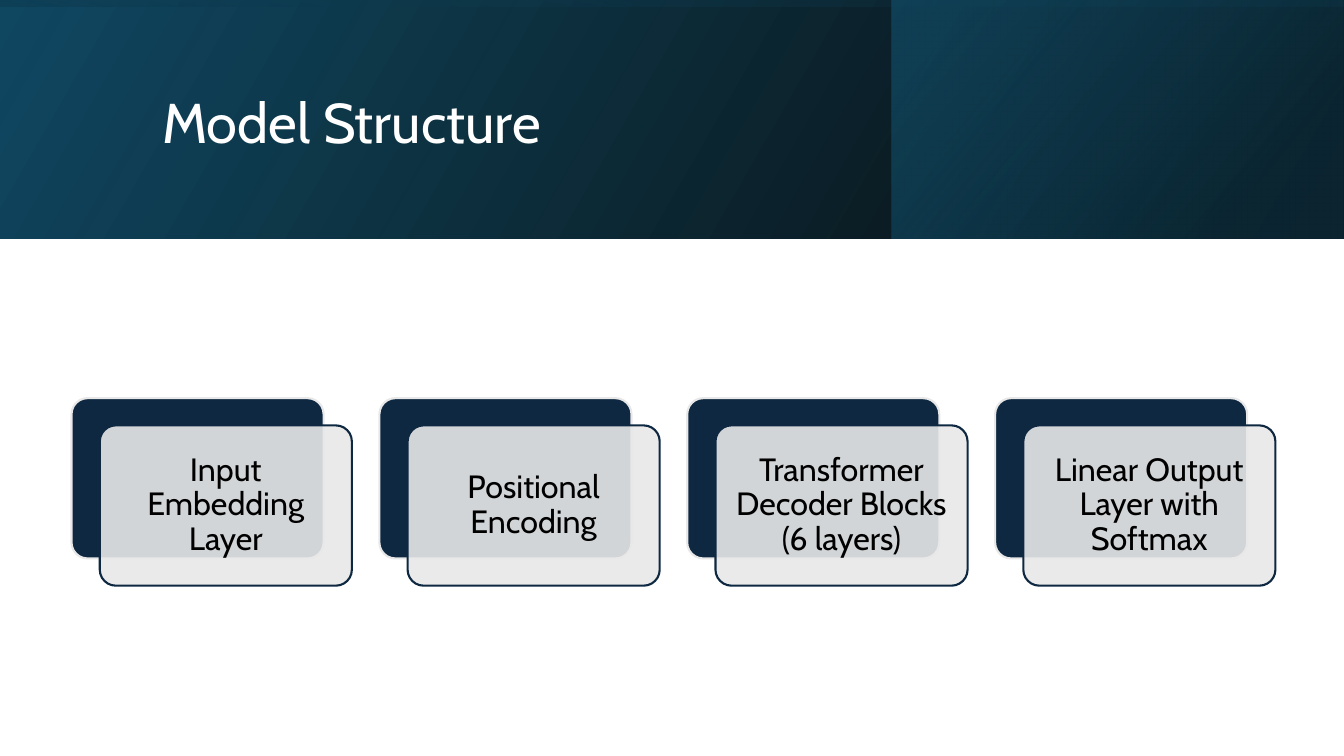
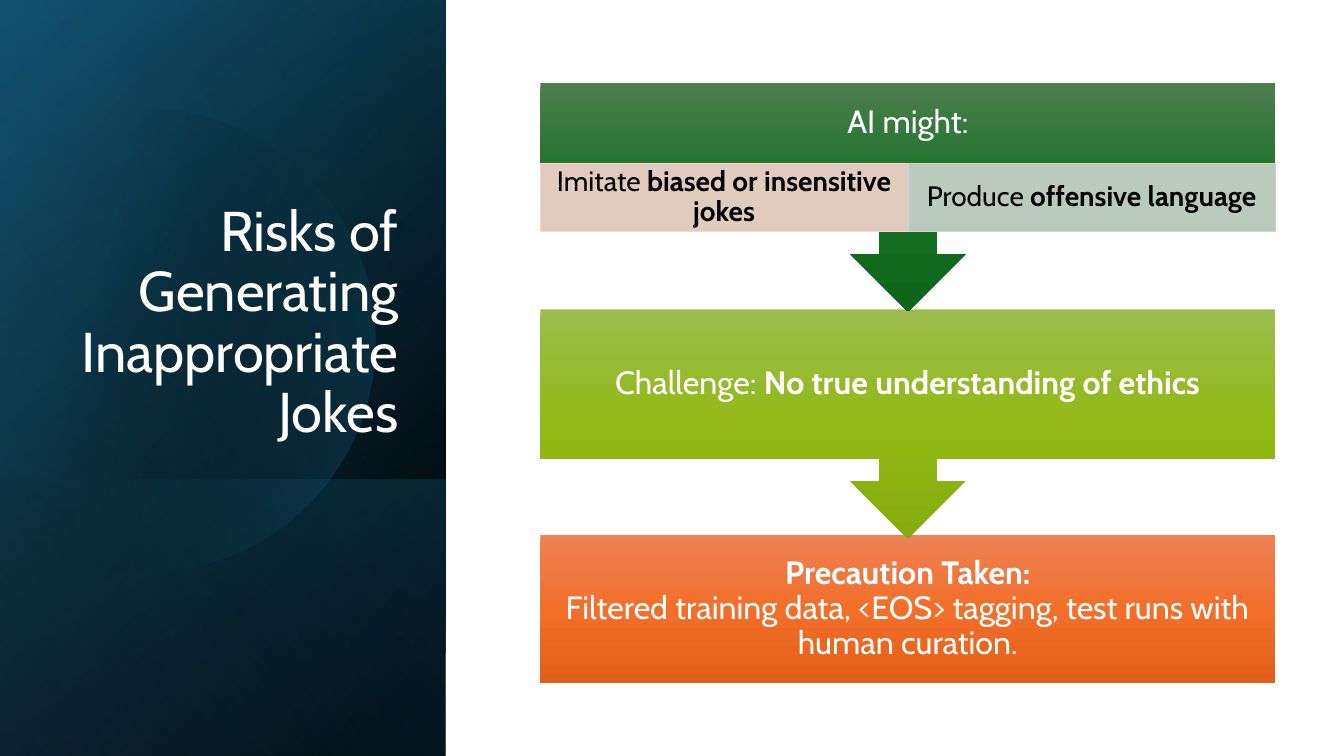
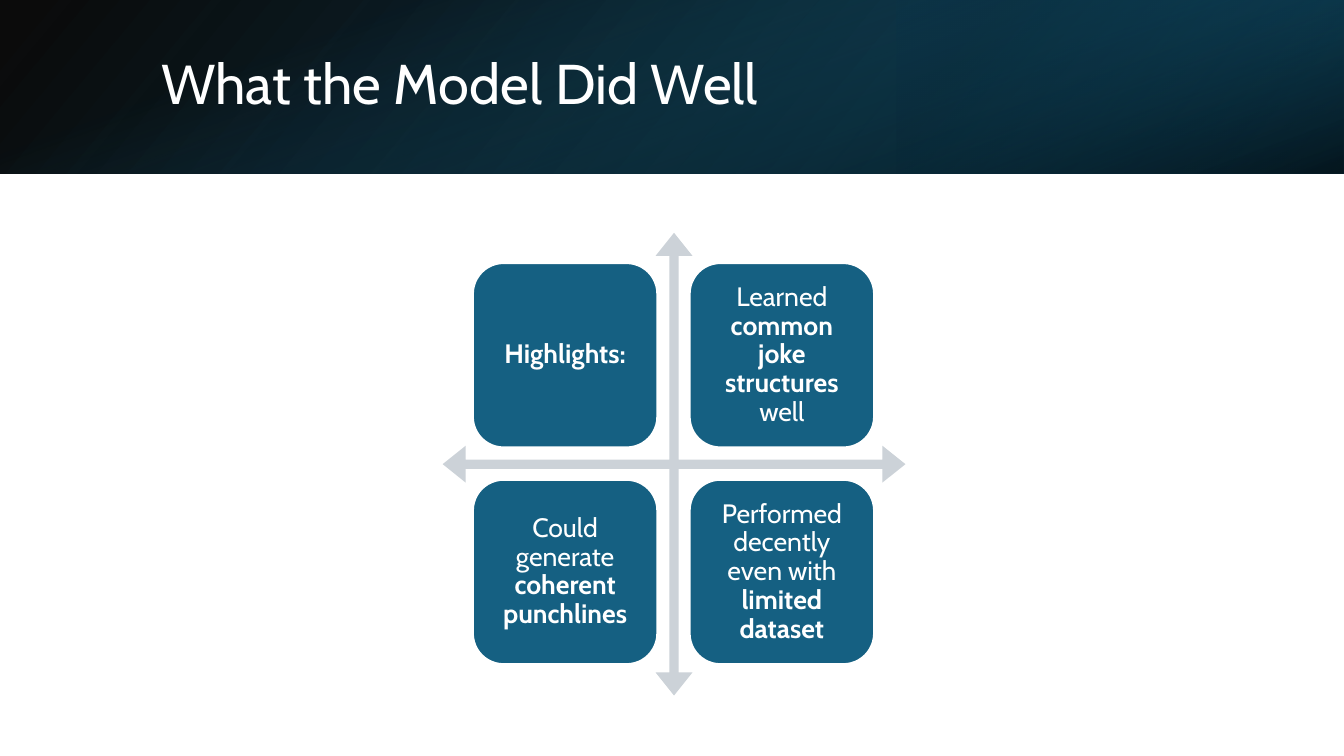
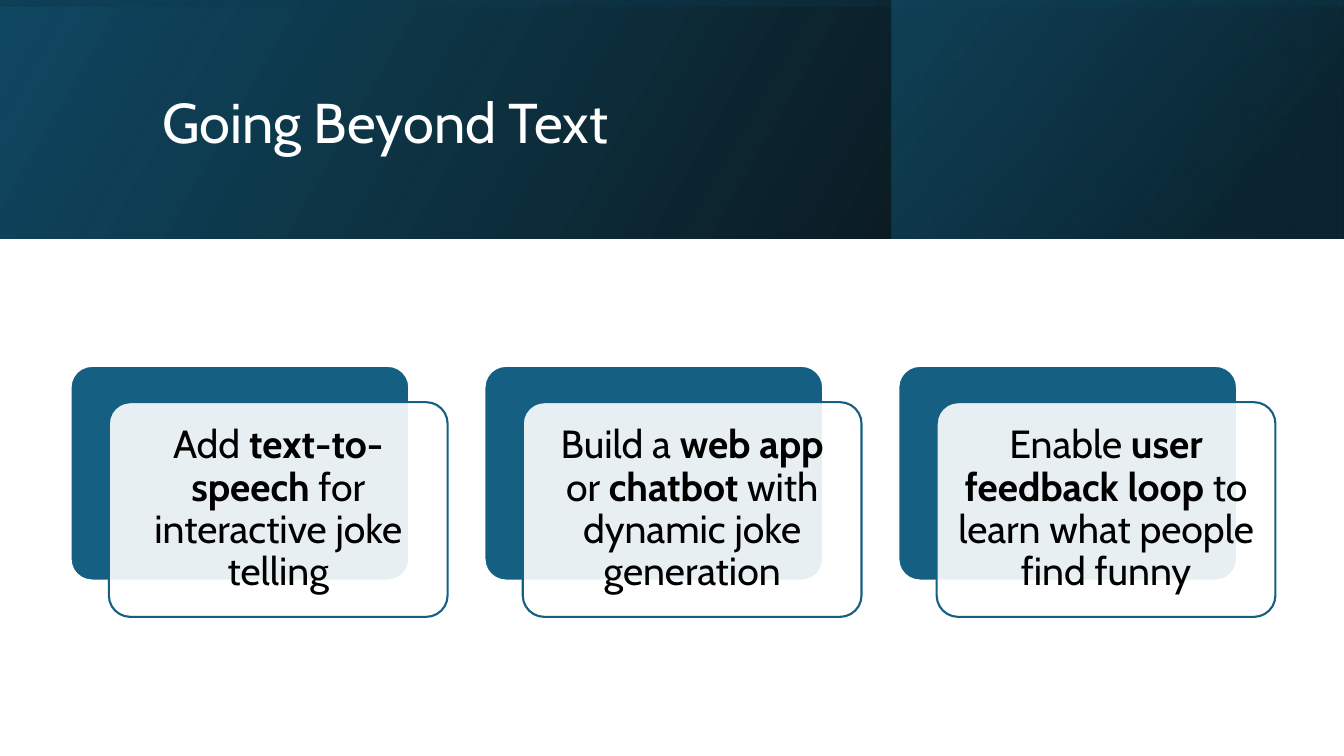
from dataclasses import dataclass
from math import acos, cos, sin
from typing import NamedTuple

from lxml import etree
from pptx import Presentation
from pptx.dml.color import RGBColor
from pptx.enum.shapes import MSO_SHAPE as Shape
from pptx.enum.text import MSO_ANCHOR as Anchor, PP_ALIGN as Align
from pptx.oxml.ns import qn
from pptx.util import Inches, Pt

FONT = "Cabin"
COLORS = {
    "white": "FFFFFF",
    "black": "000000",
    "navy": "0E2841",
    "blue": "156082",
    "deep_blue": "104862",
    "dark_blue": "0B3041",
    "sky": "46B1E1",
    "light_gray": "E8E8E8",
    "arrow_gray": "CCD2D8",
    "pink": "F7D5CE",
    "sage": "CCD4CD",
    "green_light": "4D7E50", "green": "156F21", "green_dark": "0F661B",
    "lime_light": "9CBD4E", "lime": "92B916", "lime_dark": "85AB0D",
    "orange_light": "ED8257", "orange": "F26E29", "orange_dark": "E25F1A",
}


class Box(NamedTuple):
    left: float
    top: float
    width: float
    height: float


class Run(NamedTuple):
    text: str
    bold: bool = False


class Stop(NamedTuple):
    position: int
    color: str
    opacity: int = 100


@dataclass
class Band:
    box: Box
    angle: int
    stops: list[Stop]


@dataclass
class TextStyle:
    size: int
    color: str = "white"
    align: Align = Align.CENTER
    anchor: Anchor = Anchor.MIDDLE
    margins: tuple[float, float, float, float] = (0.1, 0.05, 0.1, 0.05)


@dataclass
class CardRow:
    left: float
    top: float
    width: float
    height: float
    shift: tuple[float, float]
    back: str
    back_line: str
    front: str
    style: TextStyle


@dataclass
class Step:
    kind: Shape
    box: Box
    color: str
    runs: list[Run]
    bottom_margin: float = 0.18


SLIDE = Box(0, 0, 13.33, 7.5)
CONTENT_RIGHT = 12.65
SIDE = Box(0, 0, 4.42, 7.5)

# Gradient bands behind the titles
TALL = Box(0, 0, 13.33, 2.37)
TOP_BANDS = [
    Band(TALL, 210, [Stop(0, "black", 96), Stop(100, "deep_blue")]),
    Band(Box(8.84, 0, 4.48, 2.37), 220, [Stop(19, "dark_blue", 68), Stop(100, "blue", 48)]),
    Band(TALL, 100, [Stop(23, "deep_blue", 16), Stop(99, "black", 45)]),
]
SLIM = Box(0, 0, 13.33, 1.72)
SLIM_BANDS = [
    Band(SLIM, 40, [Stop(0, "black", 96), Stop(100, "deep_blue")]),
    Band(Box(8.89, 0, 4.44, 1.72), 40, [Stop(19, "dark_blue", 68), Stop(100, "blue", 79)]),
    Band(SLIM, 70, [Stop(23, "blue", 0), Stop(99, "black", 74)]),
]
SIDE_BANDS = [
    Band(SIDE, 220, [Stop(0, "black"), Stop(8, "black"), Stop(100, "deep_blue")]),
    Band(SIDE, 240, [Stop(0, "black", 0), Stop(99, "blue", 46)]),
    Band(Box(0, 4.76, 4.42, 2.74), 140, [Stop(2, "blue", 29), Stop(100, "black", 30)]),
]
SIDE_GLOW = Band(SIDE, 150, [Stop(0, "black", 0), Stop(99, "sky", 11)])
TITLE_BOX = Box(1.51, 0.38, 10.63, 1.72)


def rgb(name: str) -> RGBColor:
    return RGBColor.from_string(COLORS[name])


def add_opacity(color_element, opacity: int) -> None:
    etree.SubElement(color_element, qn("a:alpha"), val=str(opacity * 1000))


def fill_solid(shape, color: str, opacity: int = 100) -> None:
    shape.fill.solid()
    shape.fill.fore_color.rgb = rgb(color)
    if opacity < 100:
        solid = shape._element.spPr.find(qn("a:solidFill"))
        add_opacity(solid.find(qn("a:srgbClr")), opacity)


def fill_gradient(shape, stops: list[Stop], angle: int) -> None:
    """Angle runs clockwise from left-to-right."""
    shape.fill.gradient()
    shape.fill.gradient_angle = 360 - angle
    stop_list = next(shape._element.spPr.iter(qn("a:gsLst")))
    for old_stop in list(stop_list):
        stop_list.remove(old_stop)
    for stop in stops:
        element = etree.SubElement(stop_list, qn("a:gs"), pos=str(stop.position * 1000))
        color = etree.SubElement(element, qn("a:srgbClr"), val=COLORS[stop.color])
        if stop.opacity < 100:
            add_opacity(color, stop.opacity)


def add_plain_shape(slide, kind: Shape, box: Box, line: str | None = None, line_width: float = 1.5):
    shape = slide.shapes.add_shape(kind, *(Inches(value) for value in box))
    shape.shadow.inherit = False
    if line:
        shape.line.color.rgb = rgb(line)
        shape.line.width = Pt(line_width)
    else:
        shape.line.fill.background()
    return shape


def write(shape, runs: list[Run], style: TextStyle) -> None:
    frame = shape.text_frame
    frame.word_wrap = True
    frame.vertical_anchor = style.anchor
    (frame.margin_left, frame.margin_top,
     frame.margin_right, frame.margin_bottom) = (Inches(value) for value in style.margins)
    paragraph = frame.paragraphs[0]
    paragraph.alignment = style.align
    paragraph.line_spacing = 0.9
    for item in runs:
        if item.text == "\n":
            paragraph.add_line_break()
            continue
        run = paragraph.add_run()
        run.text = item.text
        run.font.name = FONT
        run.font.size = Pt(style.size)
        run.font.bold = item.bold
        run.font.color.rgb = rgb(style.color)


def add_band(slide, band: Band) -> None:
    fill_gradient(add_plain_shape(slide, Shape.RECTANGLE, band.box), band.stops, band.angle)


def add_title(slide, text: str, box: Box = TITLE_BOX, align: Align = Align.LEFT,
              anchor: Anchor = Anchor.MIDDLE) -> None:
    title = slide.shapes.add_textbox(*(Inches(value) for value in box))
    write(title, [Run(text)], TextStyle(40, align=align, anchor=anchor))


def add_slide(presentation, bands: list[Band]):
    slide = presentation.slides.add_slide(presentation.slide_layouts[6])
    for band in bands:
        add_band(slide, band)
    return slide


def add_cards(slide, row: CardRow, texts: list[list[Run]]) -> None:
    """Pairs of offset cards, spread evenly up to the right content edge."""
    shift_x, shift_y = row.shift
    last_left = CONTENT_RIGHT - row.width - shift_x
    pitch = (last_left - row.left) / (len(texts) - 1)
    for index, runs in enumerate(texts):
        box = Box(row.left + index * pitch, row.top, row.width, row.height)
        back = add_plain_shape(slide, Shape.ROUNDED_RECTANGLE, box, row.back_line)
        fill_solid(back, row.back)
        front_box = box._replace(left=box.left + shift_x, top=box.top + shift_y)
        front = add_plain_shape(slide, Shape.ROUNDED_RECTANGLE, front_box, row.back)
        fill_solid(front, row.front, 90)
        for card in (back, front):
            card.adjustments[0] = 0.1
        write(front, runs, row.style)


def add_clipped_circle(slide, center_x: float, center_y: float, radius: float) -> None:
    """A circle cut off at the left edge of the slide."""
    limit = acos(-center_x / radius)
    steps = 120
    angles = [limit * (2 * index / steps - 1) for index in range(steps + 1)]
    points = [(Inches(center_x + radius * cos(angle)), Inches(center_y + radius * sin(angle)))
              for angle in angles]
    builder = slide.shapes.build_freeform(*points[0])
    builder.add_line_segments(points[1:], close=True)
    circle = builder.convert_to_shape()
    circle.shadow.inherit = False
    circle.line.fill.background()
    fill_gradient(circle, [Stop(29, "black", 0), Stop(100, "blue", 43)], 14)


def build_structure(presentation) -> None:
    slide = add_slide(presentation, TOP_BANDS)
    add_title(slide, "Model Structure")
    row = CardRow(0.71, 3.95, 2.5, 1.59, (0.28, 0.27), "navy", "light_gray", "light_gray",
                  TextStyle(23, "black", margins=(0.1,) * 4))
    labels = ["Input Embedding Layer", "Positional Encoding",
              "Transformer Decoder Blocks (6 layers)", "Linear Output Layer with Softmax"]
    add_cards(slide, row, [[Run(label)] for label in labels])


def build_risks(presentation) -> None:
    slide = add_slide(presentation, SIDE_BANDS)
    add_clipped_circle(slide, 1.42, 3.38, 2.3)
    add_band(slide, SIDE_GLOW)
    add_title(slide, "Risks of Generating Inappropriate Jokes",
              Box(0.64, 1.84, 3.41, 2.62), Align.RIGHT, Anchor.BOTTOM)

    # Steps, drawn from the bottom up so that each arrow tip lies on top
    left, width = 5.36, 7.29
    steps = [
        Step(Shape.RECTANGLE, Box(left, 5.31, width, 1.47), "orange",
             [Run("Precaution Taken:", True), Run("\n"),
              Run("Filtered training data, <EOS> tagging, test runs with human curation.")]),
        Step(Shape.DOWN_ARROW_CALLOUT, Box(left, 3.07, width, 2.27), "lime",
             [Run("Challenge: "), Run("No true understanding of ethics", True)]),
        Step(Shape.DOWN_ARROW_CALLOUT, Box(left, 0.82, width, 2.27), "green",
             [Run("AI might:")], 0.85),
    ]
    for step in steps:
        shape = add_plain_shape(slide, step.kind, step.box)
        color = step.color
        fill_gradient(shape, [Stop(0, f"{color}_light"), Stop(50, color),
                              Stop(100, f"{color}_dark")], 90)
        write(shape, step.runs, TextStyle(23, margins=(0.18, 0.18, 0.18, step.bottom_margin)))

    # Two examples under the first heading
    examples = [
        ("pink", [Run("Imitate "), Run("biased or insensitive jokes", True)]),
        ("sage", [Run("Produce "), Run("offensive language", True)]),
    ]
    for index, (color, runs) in enumerate(examples):
        box = Box(left + index * width / 2, 1.62, width / 2, 0.68)
        cell = add_plain_shape(slide, Shape.RECTANGLE, box, color, 1)
        fill_solid(cell, color, 90)
        write(cell, runs, TextStyle(20, "black", margins=(0.16, 0.03, 0.16, 0.03)))


def build_highlights(presentation) -> None:
    slide = add_slide(presentation, SLIM_BANDS)
    add_title(slide, "What the Model Did Well", Box(1.5, 0.38, 10.98, 0.96))

    # Crossed arrows
    arrows = add_plain_shape(slide, Shape.QUAD_ARROW, Box(4.39, 2.31, 4.59, 4.59))
    fill_solid(arrows, "arrow_gray")
    for index, value in enumerate((0.02, 0.04, 0.05)):
        arrows.adjustments[index] = value

    # Four tiles
    tiles = [
        [Run("Highlights:", True)],
        [Run("Learned "), Run("common joke structures", True), Run(" well")],
        [Run("Could generate "), Run("coherent punchlines", True)],
        [Run("Performed decently even with "), Run("limited dataset", True)],
    ]
    size, pitch = 1.83, 2.15
    for index, runs in enumerate(tiles):
        row, column = divmod(index, 2)
        box = Box(4.69 + column * pitch, 2.61 + row * pitch, size, size)
        tile = add_plain_shape(slide, Shape.ROUNDED_RECTANGLE, box, "white")
        fill_solid(tile, "blue")
        write(tile, runs, TextStyle(19, margins=(0.08,) * 4))


def build_beyond_text(presentation) -> None:
    slide = add_slide(presentation, TOP_BANDS)
    add_title(slide, "Going Beyond Text")
    row = CardRow(0.7, 3.63, 3.36, 2.13, (0.38, 0.36), "blue", "white", "white",
                  TextStyle(28, "black", margins=(0.12,) * 4))
    add_cards(slide, row, [
        [Run("Add "), Run("text-to-speech", True), Run(" for interactive joke telling")],
        [Run("Build a "), Run("web app", True), Run(" or "), Run("chatbot", True),
         Run(" with dynamic joke generation")],
        [Run("Enable "), Run("user feedback loop", True),
         Run(" to learn what people find funny")],
    ])


def main() -> None:
    presentation = Presentation()
    presentation.slide_width = Inches(SLIDE.width)
    presentation.slide_height = Inches(SLIDE.height)
    build_structure(presentation)
    build_risks(presentation)
    build_highlights(presentation)
    build_beyond_text(presentation)
    presentation.save("out.pptx")


if __name__ == "__main__":
    main()
